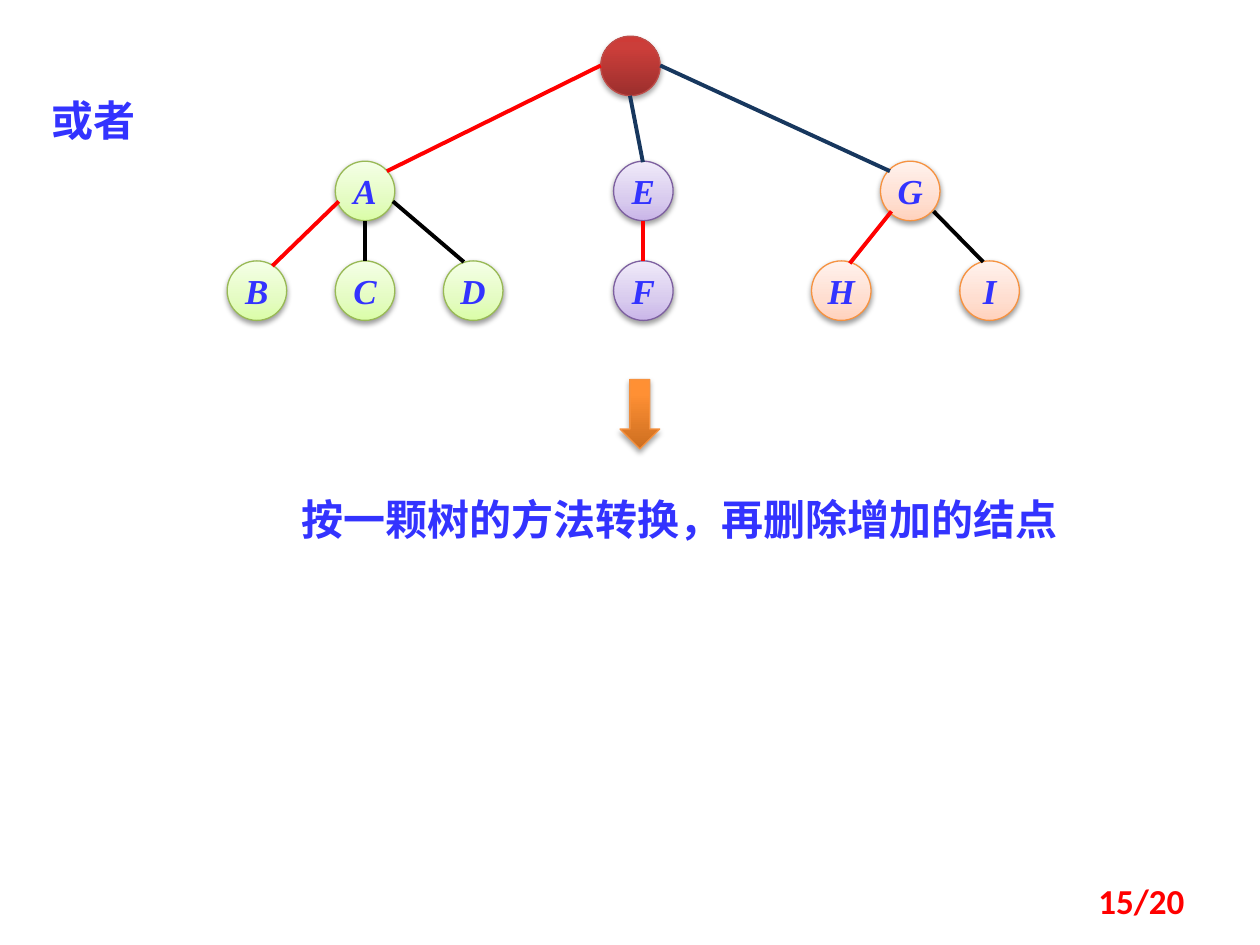
"""Draw a forest joined under an added root, with its conversion note."""
from copy import deepcopy
from typing import NamedTuple

from lxml.etree import SubElement
from pptx import Presentation
from pptx.dml.color import RGBColor
from pptx.enum.shapes import MSO_CONNECTOR, MSO_SHAPE
from pptx.enum.text import MSO_ANCHOR, PP_ALIGN
from pptx.oxml.ns import qn
from pptx.util import Cm, Pt

HUES = {"blue": "3333FF", "red": "FF0000", "black": "000000", "navy": "17375E"}
SERIF, SANS, NUM = "Times New Roman", "Noto Sans CJK SC", "Calibri"
SIZE = 1.2
TOP, LOW = 3.25, 5.26


class Skin(NamedTuple):
    stops: tuple
    line: str
    mid: float = 0.35
    shade: int = 38
    drop: float = 1.6


SKINS = {
    "green": Skin(("DAFDA7", "E4FCC2", "F5FFE7"), "98B955"),
    "mauve": Skin(("C9B5E8", "D8CBEE", "F0EAF9"), "7D60A0"),
    "peach": Skin(("FFD2BD", "FFDED0", "FFF2ED"), "F69240"),
    "root": Skin(("9C2F2D", "CB3E3A", "CE3B37"), "BF4C48", 0.8, 35, 1.8),
    "arrow": Skin(("CC6E20", "FF9034", "FF9136"), "F69240", 0.8, 35, 1.8),
}


class Node(NamedTuple):
    text: str
    x: float
    y: float
    skin: str


class Edge(NamedTuple):
    x1: float
    y1: float
    x2: float
    y2: float
    hue: str


NODES = [
    Node("A", 6.76, TOP, "green"),
    *(Node(name, 4.58 + 2.18 * i, LOW, "green") for i, name in enumerate("BCD")),
    Node("E", 12.37, TOP, "mauve"),
    Node("F", 12.37, LOW, "mauve"),
    Node("G", 17.75, TOP, "peach"),
    Node("H", 16.36, LOW, "peach"),
    Node("I", 19.35, LOW, "peach"),
    Node("", 12.11, 0.73, "root"),
]

EDGES = [
    Edge(6.83, 4.06, 5.49, 5.36, "red"),
    Edge(12.96, 4.46, 12.96, LOW, "red"),
    Edge(17.97, 4.26, 17.13, 5.31, "red"),
    Edge(7.36, 4.46, 7.36, LOW, "black"),
    Edge(7.92, 4.06, 9.35, 5.28, "black"),
    Edge(18.82, 4.26, 19.82, 5.28, "black"),
    Edge(12.11, 1.32, 7.8, 3.45, "red"),
    Edge(12.7, 1.93, 12.96, 3.27, "navy"),
    Edge(13.31, 1.32, 17.94, 3.45, "navy"),
]


def tint(code: str) -> RGBColor:
    """Turn a hex string into a colour."""
    return RGBColor.from_string(code)


def write(shape, text: str, *, size: int = 24, font: str = SERIF, hue: str = "blue",
          slant: bool = False, align=PP_ALIGN.LEFT, anchor=MSO_ANCHOR.TOP,
          wrap: bool = True) -> None:
    """Put formatted text in a shape."""
    frame = shape.text_frame
    frame.word_wrap, frame.vertical_anchor = wrap, anchor
    par = frame.paragraphs[0]
    par.alignment = align
    run = par.add_run()
    run.text = text
    face = run.font
    face.name, face.size = font, Pt(size)
    face.bold, face.italic = True, slant
    face.color.rgb = tint(HUES[hue])
    SubElement(face._element, qn("a:ea"), typeface=SANS)


def dress(shape, skin: Skin) -> None:
    """Give a shape its gradient, outline and shadow."""
    fill = shape.fill
    fill.gradient()
    fill.gradient_angle = 90
    stops = shape._element.spPr.find(".//" + qn("a:gsLst"))
    stops.insert(1, deepcopy(stops[0]))
    for stop, code, spot in zip(fill.gradient_stops, skin.stops, (0, skin.mid, 1)):
        stop.color.rgb, stop.position = tint(code), spot
    shape.line.color.rgb, shape.line.width = tint(skin.line), Pt(0.75)
    shape.shadow.inherit = False
    glow = SubElement(shape._element.spPr.find(qn("a:effectLst")), qn("a:outerShdw"),
                      blurRad=str(Pt(3.1)), dist=str(Pt(skin.drop)),
                      dir="5400000", rotWithShape="0")
    dark = SubElement(glow, qn("a:srgbClr"), val=HUES["black"])
    SubElement(dark, qn("a:alpha"), val=str(skin.shade * 1000))


def draw_node(slide, node: Node) -> None:
    """Draw one tree node."""
    disc = slide.shapes.add_shape(
        MSO_SHAPE.OVAL, Cm(node.x), Cm(node.y), Cm(SIZE), Cm(SIZE))
    dress(disc, SKINS[node.skin])
    if node.text:
        write(disc, node.text, size=20, slant=True, align=PP_ALIGN.CENTER,
              anchor=MSO_ANCHOR.MIDDLE, wrap=False)


def draw_edge(slide, edge: Edge) -> None:
    """Draw one tree edge."""
    link = slide.shapes.add_connector(
        MSO_CONNECTOR.STRAIGHT, *(Cm(value) for value in edge[:4]))
    link.line.color.rgb, link.line.width = tint(HUES[edge.hue]), Pt(2.25)
    SubElement(link._element.spPr, qn("a:effectLst"))


def label(slide, text: str, box: tuple, **form) -> None:
    """Add a text box at a place given in centimetres."""
    write(slide.shapes.add_textbox(*(Cm(value) for value in box)), text, **form)


def main() -> None:
    """Build and save the slide."""
    deck = Presentation()
    deck.slide_width, deck.slide_height = Cm(25.4), Cm(19.05)
    slide = deck.slides.add_slide(deck.slide_layouts[6])
    for node in NODES:
        draw_node(slide, node)
    for edge in EDGES:
        draw_edge(slide, edge)
    label(slide, "或者", (0.79, 1.78, 3.76, 1.27), font=SANS)
    arrow = slide.shapes.add_shape(
        MSO_SHAPE.DOWN_ARROW, Cm(12.5), Cm(7.65), Cm(0.8), Cm(1.4))
    dress(arrow, SKINS["arrow"])
    label(slide, "按一颗树的方法转换，再删除增加的结点", (4.95, 9.83, 17.48, 1.27),
          align=PP_ALIGN.CENTER)
    label(slide, "15/20", (18.21, 17.65, 5.92, 1.02), size=20, font=NUM, hue="red",
          align=PP_ALIGN.RIGHT, anchor=MSO_ANCHOR.MIDDLE)
    deck.save("out.pptx")


if __name__ == "__main__":
    main()
